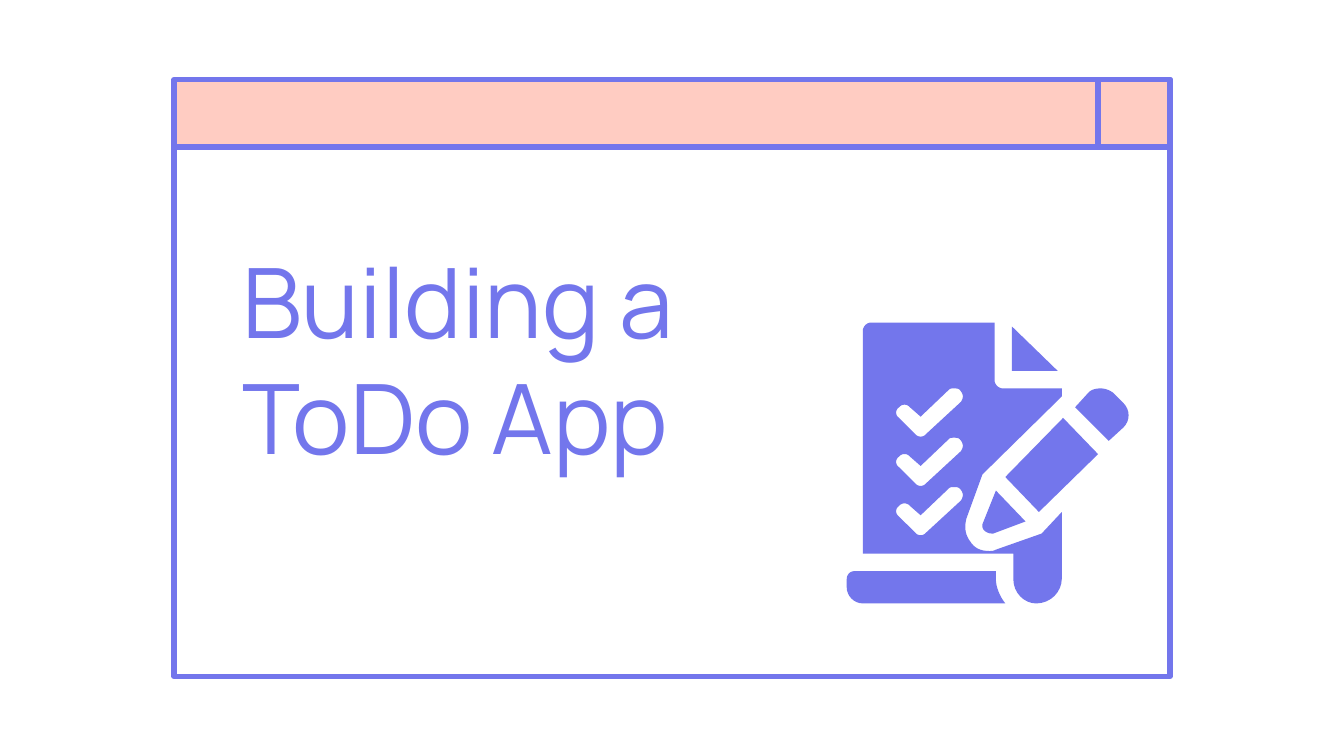
from pptx import Presentation
from pptx.dml.color import RGBColor as RGB
from pptx.enum.shapes import MSO_SHAPE as SHAPE
from pptx.enum.text import MSO_ANCHOR as ANCHOR
from pptx.util import Inches, Pt

COLORS = {"ink": "7376EC", "bar": "FFCCC2", "paper": "FFFFFF"}
CELL = 0.1  # grid cell in inches
COLS, ROWS = 100, 56.25
CURVE_STEPS = 8

# Window layout in grid cells
LEFT, TOP, WIDTH = 12.95, 5.93, 74.1
BAR_HEIGHT, BODY_HEIGHT, BUTTON_WIDTH = 5, 39.4, 5.35

# Icon outlines in grid cells: a pair is a corner, six numbers are a curve
CHECK = [(71, 28.9), (71.1, 28.9, 71.3, 28.9, 71.4, 29),
         (71.7, 29.3, 71.7, 29.6, 71.5, 29.9), (68.9, 32.3),
         (68.7, 32.55, 68.3, 32.55, 68.1, 32.3), (66.9, 31.1),
         (66.6, 30.9, 66.6, 30.5, 66.9, 30.3),
         (67.1, 30.05, 67.5, 30.05, 67.7, 30.3), (68.5, 31), (70.6, 29),
         (70.7, 28.9, 70.8, 28.9, 71, 28.9)]
CHECK_COUNT, CHECK_GAP = 3, 3.67
PAGE = [(64.8, 24), (64.5, 24, 64.2, 24.3, 64.2, 24.6), (64.2, 41.2),
        (75.4, 41.2), (75.4, 43.1), (75.4, 44.1, 76.2, 44.9, 77.1, 44.9),
        (78.2, 44.9, 79, 44, 79, 43.1), (79, 38.1), (77.5, 39.7), (74.1, 40.9),
        (73.9, 41, 73.8, 41, 73.6, 41), (73, 41, 72.5, 40.8, 72.2, 40.3),
        (71.9, 39.9, 71.7, 39.4, 71.9, 38.6), (73.1, 35.3), (79, 29.5),
        (79, 28.9), (74.6, 28.9), (74.3, 28.9, 74, 28.6, 74, 28.3), (74, 24)]
ERASER = [(81.9, 28.9), (81.5, 28.9, 81.2, 29, 81, 29.2), (80, 30.3),
          (82.5, 32.8), (83.6, 31.8), (84.1, 31.3, 84.1, 30.5, 83.6, 30),
          (82.8, 29.2), (82.5, 29, 82.2, 28.9, 81.9, 28.9)]
TIP = [(74.1, 36.5), (73.1, 39), (73, 39.4, 73.4, 39.7, 73.8, 39.7),
       (73.9, 39.7), (76.3, 38.8)]
PENCIL = [(79.1, 31.1), (74.8, 35.5), (77.3, 38.1), (81.7, 33.8)]
FOLD = [(75.3, 24.3), (75.3, 27.6), (78.7, 27.6)]
SCROLL = [(63.6, 42.5), (63.2, 42.5, 63, 42.8, 63, 43.1), (63, 43.7),
          (63, 44.3, 63.5, 44.9, 64.2, 44.9), (74.8, 44.9),
          (74.4, 44.4, 74.1, 43.7, 74.1, 43.1), (74.1, 42.5)]


def grid(cells):
    return Inches(cells * CELL)


def flatten(outline):
    """Turn corners and Bezier curves into a list of grid points."""
    points = []
    for part in outline:
        if len(part) == 2:
            points.append(part)
            continue
        ends = (points[-1], part[:2], part[2:4], part[4:])
        for i in range(1, CURVE_STEPS + 1):
            t = i / CURVE_STEPS
            weights = ((1 - t) ** 3, 3 * t * (1 - t) ** 2, 3 * t * t * (1 - t), t ** 3)
            points.append(tuple(sum(w * e[axis] for w, e in zip(weights, ends))
                                for axis in (0, 1)))
    return points


class Canvas:
    font = {"name": "Manrope", "size": Pt(52), "bold": False}
    frame = {"margin_left": 0, "margin_top": 0, "margin_right": 0, "margin_bottom": 0,
             "word_wrap": True, "vertical_anchor": ANCHOR.MIDDLE}
    border = Pt(3)

    def __init__(self, slide):
        self.s = slide

    def paint(self, sp, fill, line=None):
        sp.shadow.inherit = False
        sp.fill.solid()
        sp.fill.fore_color.rgb = RGB.from_string(COLORS[fill])
        if line:
            sp.line.color.rgb = RGB.from_string(COLORS[line])
            sp.line.width = self.border
        else:
            sp.line.fill.background()

    def box(self, fill, *place):
        sp = self.s.shapes.add_shape(SHAPE.RECTANGLE, *map(grid, place))
        self.paint(sp, fill, "ink")

    def title(self, text, *place):
        tf = self.s.shapes.add_textbox(*map(grid, place)).text_frame
        for name, value in self.frame.items():
            setattr(tf, name, value)
        p = tf.paragraphs[0]
        p.text = text
        p.line_spacing = 1.0
        for r in p.runs:
            for name, value in self.font.items():
                setattr(r.font, name, value)
            r.font.color.rgb = RGB.from_string(COLORS["ink"])

    def outline(self, *contours):
        """Draw one filled shape; contours after the first are holes."""
        builder = None
        for contour in contours:
            start, *rest = [(grid(x), grid(y)) for x, y in flatten(contour)]
            if builder is None:
                builder = self.s.shapes.build_freeform(*start)
            else:
                builder.move_to(*start)
            builder.add_line_segments(rest, close=True)
        self.paint(builder.convert_to_shape(), "ink")


def main():
    prs = Presentation()
    prs.slide_width, prs.slide_height = grid(COLS), grid(ROWS)
    c = Canvas(prs.slides.add_slide(prs.slide_layouts[6]))

    # Browser window: body, title bar, corner button
    c.box("paper", LEFT, TOP + BAR_HEIGHT, WIDTH, BODY_HEIGHT)
    c.box("bar", LEFT, TOP, WIDTH, BAR_HEIGHT)
    c.box("bar", LEFT + WIDTH - BUTTON_WIDTH, TOP, BUTTON_WIDTH, BAR_HEIGHT)

    c.title("Building a \vToDo App", 18.05, 12, 63.9, 29.2)

    # Checklist icon: page with check marks cut out, then pencil and scroll
    checks = [[tuple(v + i * CHECK_GAP * (n % 2) for n, v in enumerate(part))
               for part in CHECK] for i in range(CHECK_COUNT)]
    c.outline(PAGE, *checks)
    for part in (ERASER, TIP, PENCIL, FOLD, SCROLL):
        c.outline(part)

    prs.save("out.pptx")


if __name__ == "__main__":
    main()
